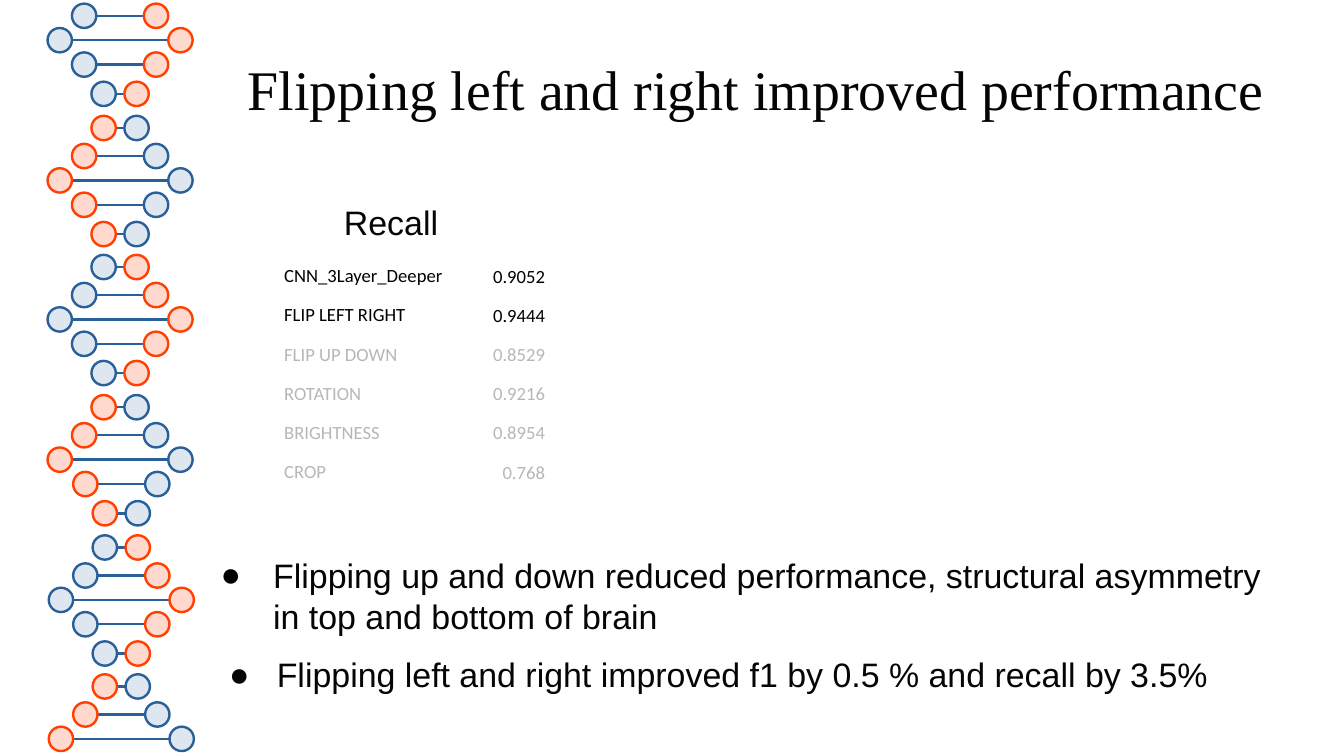
import pptx
import pptx.dml.color
import pptx.enum.shapes
import pptx.enum.text
import pptx.oxml
import pptx.oxml.ns
import pptx.util
from lxml import etree

Inches, Pt = pptx.util.Inches, pptx.util.Pt
RGBColor = pptx.dml.color.RGBColor
SHAPE = pptx.enum.shapes.MSO_SHAPE
ALIGN = pptx.enum.text.PP_ALIGN
ANCHOR = pptx.enum.text.MSO_ANCHOR
qn = pptx.oxml.ns.qn

INK = RGBColor(0x05, 0x05, 0x05)
BLACK = RGBColor(0, 0, 0)
GREY = RGBColor(0xB7, 0xB7, 0xB7)
BLUE, PALE_BLUE = RGBColor(0x2A, 0x60, 0x99), RGBColor(0xDE, 0xE6, 0xEF)
RED, PALE_RED = RGBColor(0xFF, 0x40, 0x00), RGBColor(0xFF, 0xD8, 0xCE)

BASES = {"blue": (BLUE, PALE_BLUE), "red": (RED, PALE_RED)}
BALL = 0.2
TURN_STARTS = [-0.1, 1.05, 2.19, 3.34, 4.49, 5.63]
# Drop below the start of the turn, left edges of the two balls
RUNGS = [
    (0, 0.75, 1.02),
    (0.23, 0.59, 1.18),
    (0.43, 0.39, 1.38),
    (0.63, 0.59, 1.18),
    (0.87, 0.75, 1.02),
]
PAGE_WIDTH, PAGE_HEIGHT = 11.02, 6.2

RECALL = [
    ("CNN_3Layer_Deeper", "0.9052", BLACK),
    ("FLIP LEFT RIGHT", "0.9444", BLACK),
    ("FLIP UP DOWN", "0.8529", GREY),
    ("ROTATION", "0.9216", GREY),
    ("BRIGHTNESS", "0.8954", GREY),
    ("CROP", "0.768", GREY),
]
FINDINGS = [
    ("Flipping up and down reduced performance, structural asymmetry "
     "in top and bottom of brain", 0.47, -0.43, BLACK),
    ("Flipping left and right improved f1 by 0.5 % and recall by 3.5%",
     0.5, -0.39, INK),
]


def apply(target, values):
    for name, value in values.items():
        setattr(target, name, value)


class SlideBuilder:
    """Holds the text and line style and the slide being built."""

    title = {"name": "Times New Roman", "size": Pt(33)}
    body = {"name": "Arial", "size": Pt(20)}
    cell = {"name": "Calibri", "size": Pt(11)}
    line_width = Pt(1.42)
    gap_above = {"space_before": Pt(10.6)}

    def __init__(self, page):
        self.page = page

    def add_text(self, para, text, font, color, **layout):
        apply(para, layout)
        span = para.add_run()
        span.text = text
        apply(span.font, font)
        span.font.color.rgb = color

    def text_box(self, left, top, width, height, anchor=ANCHOR.TOP):
        box = self.page.shapes.add_textbox(
            Inches(left), Inches(top), Inches(width), Inches(height))
        apply(box.text_frame, {
            "word_wrap": True, "vertical_anchor": anchor,
            "margin_left": 0, "margin_top": 0,
            "margin_right": 0, "margin_bottom": 0,
        })
        return box.text_frame

    def indent(self, para, left, first=0, bullet_color=None):
        properties = para._p.get_or_add_pPr()
        properties.set("marL", str(Inches(left)))
        properties.set("indent", str(Inches(first)))
        if bullet_color is not None:
            color = etree.SubElement(properties, qn("a:buClr"))
            etree.SubElement(color, qn("a:srgbClr"), val=str(bullet_color))
            etree.SubElement(properties, qn("a:buFont"), typeface="Arial")
            etree.SubElement(properties, qn("a:buChar"), char="●")

    def ball(self, left, middle, base):
        edge, fill = BASES[base]
        ball = self.page.shapes.add_shape(
            SHAPE.OVAL, Inches(left), Inches(middle - BALL / 2),
            Inches(BALL), Inches(BALL))
        ball.shadow.inherit = False
        ball.fill.solid()
        ball.fill.fore_color.rgb = fill
        ball.line.color.rgb = edge
        ball.line.width = self.line_width

    def rung(self, left, right, middle, left_base, right_base):
        """Draw a base pair: two balls and the bond between them."""
        bond = self.page.shapes.add_connector(
            pptx.enum.shapes.MSO_CONNECTOR.STRAIGHT,
            Inches(left + BALL), Inches(middle), Inches(right), Inches(middle))
        bond.line.color.rgb = BLUE
        bond.line.width = self.line_width
        etree.SubElement(bond._element.spPr, qn("a:effectLst"))
        self.ball(left, middle, left_base)
        self.ball(right, middle, right_base)

    def helix(self):
        for turn, start in enumerate(TURN_STARTS):
            bases = ("red", "blue") if turn % 2 else ("blue", "red")
            for drop, left, right in RUNGS:
                middle = start + drop
                shift = 0.01 if middle > 3.8 else 0
                if 0 < middle < PAGE_HEIGHT:
                    self.rung(left + shift, right + shift, middle, *bases)

    def table(self, left, top, widths, row_height, rows):
        table = self.page.shapes.add_table(
            len(rows), len(widths), Inches(left), Inches(top),
            Inches(sum(widths)), Inches(row_height * len(rows))).table
        apply(table, {"first_row": False, "horz_banding": False})
        for column, width in zip(table.columns, widths):
            column.width = Inches(width)
        layouts = [{}, {"alignment": ALIGN.RIGHT, "line_spacing": 1.15}]
        for row, (*texts, color) in zip(table.rows, rows):
            row.height = Inches(row_height)
            for cell, text, layout in zip(row.cells, texts, layouts):
                cell.fill.background()
                apply(cell, {
                    "vertical_anchor": ANCHOR.BOTTOM,
                    "margin_left": Inches(0.01), "margin_top": Inches(0.01),
                    "margin_right": Inches(0.01), "margin_bottom": Inches(0.1),
                })
                self.add_text(cell.text_frame.paragraphs[0], text, self.cell,
                              color, **layout)


def main():
    deck = pptx.Presentation()
    apply(deck, {"slide_width": Inches(PAGE_WIDTH),
                 "slide_height": Inches(PAGE_HEIGHT)})
    builder = SlideBuilder(deck.slides.add_slide(deck.slide_layouts[6]))
    builder.helix()

    heading = builder.text_box(1.77, 0.21, 8.86, 1.02, ANCHOR.MIDDLE)
    builder.add_text(heading.paragraphs[0],
                     "Flipping left and right improved performance",
                     builder.title, INK, alignment=ALIGN.CENTER)

    findings = builder.text_box(1.77, 4.55, 8.86, 1.4)
    for number, (text, left, first, bullet_color) in enumerate(FINDINGS):
        para = findings.add_paragraph() if number else findings.paragraphs[0]
        builder.add_text(para, text, builder.body, INK, **builder.gap_above)
        builder.indent(para, left, first, bullet_color)

    caption = builder.text_box(2.32, 1.65, 2.16, 0.79).paragraphs[0]
    builder.add_text(caption, "Recall", builder.body, INK, **builder.gap_above)
    builder.indent(caption, 0.5)

    builder.table(2.32, 2.14, [1.49, 0.67], 0.21, RECALL)
    deck.save("out.pptx")


if __name__ == "__main__":
    main()
